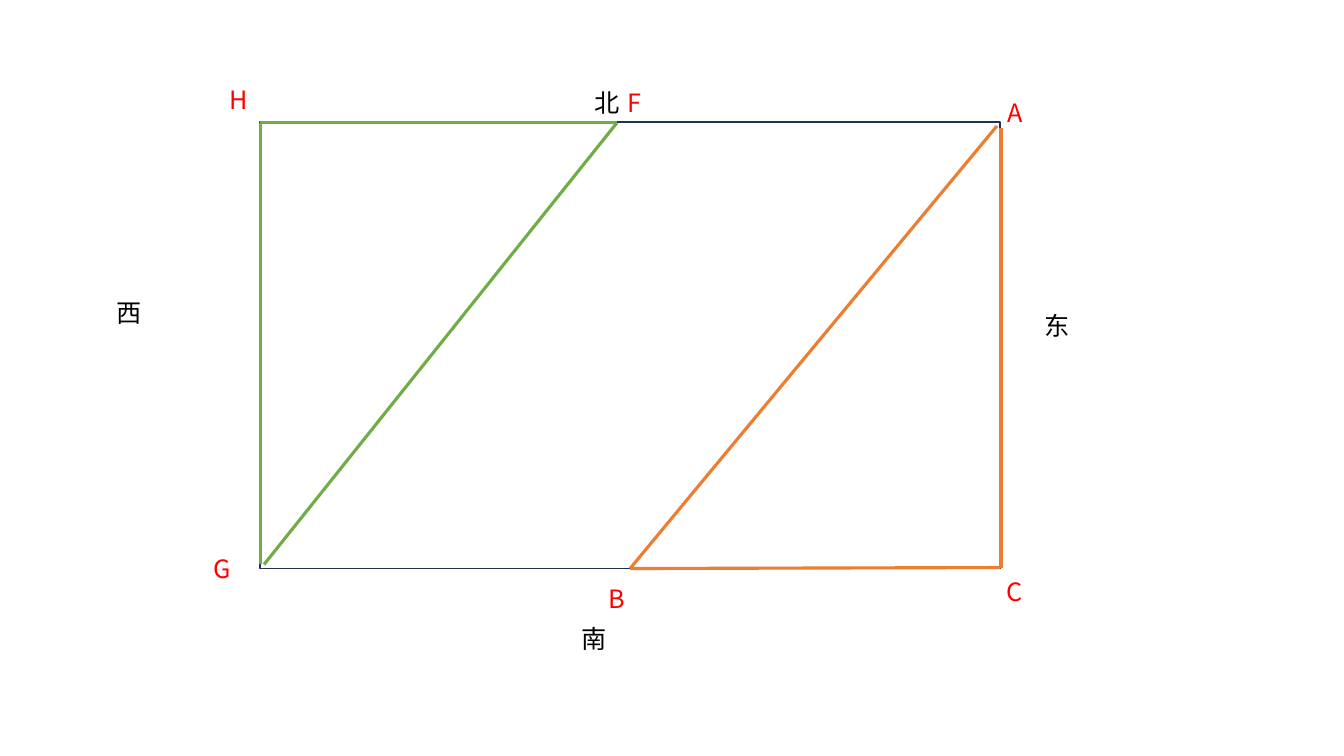
from lxml.etree import SubElement
from pptx import Presentation
from pptx.dml.color import RGBColor
from pptx.enum.shapes import MSO_CONNECTOR, MSO_SHAPE
from pptx.enum.text import MSO_AUTO_SIZE
from pptx.oxml.ns import qn
from pptx.util import Pt

BLACK, RED, NAVY = "000000", "FF0000", "1E3256"
ORANGE, GREEN = "ED7D31", "70AD47"


def rgb(value):
    return RGBColor.from_string(value)


class Diagram:
    """Draws the elements of a labelled field plan on one slide."""

    font = "Noto Sans CJK SC"
    size = 18
    label_height = 28.8

    def __init__(self, slide):
        self.s = slide

    def field(self, x, y, w, h, color):
        sp = self.s.shapes.add_shape(
            MSO_SHAPE.RECTANGLE, Pt(x), Pt(y), Pt(w), Pt(h))
        sp.shadow.inherit = False
        sp.fill.background()
        sp.line.color.rgb = rgb(color)
        sp.line.width = Pt(1)
        return sp

    def line(self, start, end, color):
        c = self.s.shapes.add_connector(
            MSO_CONNECTOR.STRAIGHT, *map(Pt, start + end))
        c.line.color.rgb = rgb(color)
        c.line.width = Pt(2.25)
        SubElement(c._element.spPr, qn("a:effectLst"))
        return c

    def label(self, text, x, y, w, color):
        sp = self.s.shapes.add_textbox(
            Pt(x), Pt(y), Pt(w), Pt(self.label_height))
        tf = sp.text_frame
        tf.word_wrap = True
        tf.auto_size = MSO_AUTO_SIZE.SHAPE_TO_FIT_TEXT
        r = tf.paragraphs[0].add_run()
        r.text = text
        r.font.size = Pt(self.size)
        r.font.color.rgb = rgb(color)
        r.font.name = self.font
        SubElement(r.font._element, qn("a:ea"), typeface=self.font)


def main():
    prs = Presentation()
    prs.slide_width, prs.slide_height = Pt(960), Pt(540)
    d = Diagram(prs.slides.add_slide(prs.slide_layouts[6]))

    left, top, width, height = 185.8, 87.1, 528.5, 319
    field = d.field(left, top, width, height, NAVY)
    south_middle = (left + width / 2, top + height)

    for text, x, y, w in [
        ("北", 417.6, 59, 45.4),
        ("西", 76.3, 208.8, 63.4),
        ("东", 738.7, 218.2, 42.5),
        ("南", 408.2, 441.4, 191.5),
    ]:
        d.label(text, x, y, w, BLACK)

    for start in [(712.1, 90), (714.2, 405.4)]:
        d.line(start, south_middle, ORANGE).end_connect(field, 2)
    d.line((715, 91.4), (715, 405.4), ORANGE)

    f, h = (440.6, 87.8), (left, 87.8)
    for start, end in [
        (h, (left, 403.2)),
        (f, h),
        (f, (188.6, 403.2)),
    ]:
        d.line(start, end, GREEN)

    for text, x, y in [
        ("C", 712.1, 408.2),
        ("A", 712.8, 66.2),
        ("B", 427.7, 413.3),
        ("G", 145.4, 391.7),
        ("H", 157, 56.9),
        ("F", 441.4, 59),
    ]:
        d.label(text, x, y, 36.7, RED)

    prs.save("out.pptx")


if __name__ == "__main__":
    main()
